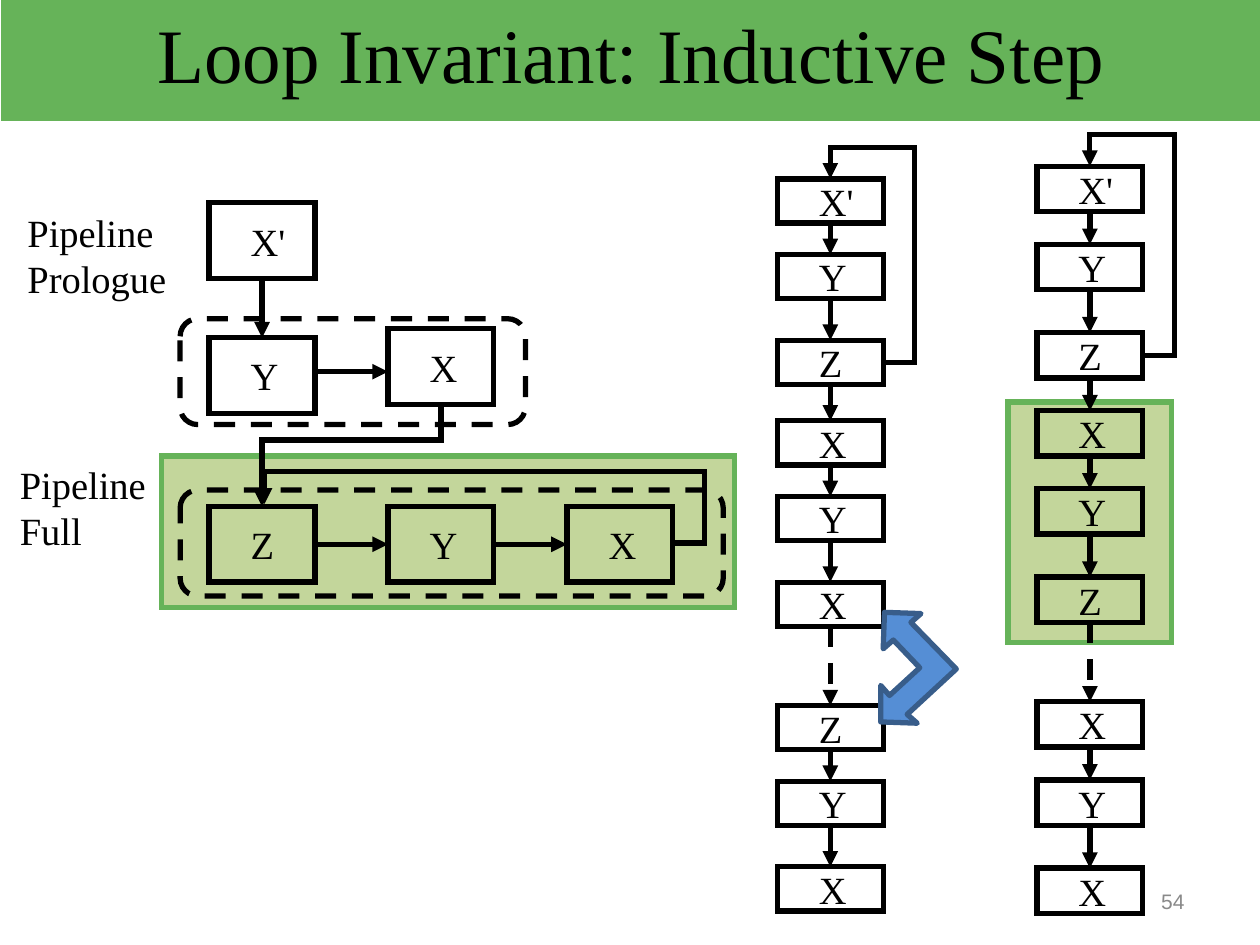
from lxml.etree import SubElement
from pptx import Presentation
from pptx.dml.color import RGBColor
from pptx.enum.dml import MSO_LINE
from pptx.enum.shapes import MSO_CONNECTOR, MSO_SHAPE
from pptx.enum.text import MSO_ANCHOR, PP_ALIGN
from pptx.oxml.ns import qn
from pptx.util import Inches, Pt

BLACK, GREEN, PALE = "000000", "66B359", "C3D69B"
SERIF = "Times New Roman"
BOX_WIDTH = 0.84
STAGE_HEIGHT = 0.6

TITLE = "Loop Invariant: Inductive Step"
LABELS = [
    (["Pipeline", "Prologue"], 0.12, 1.61, 1.36),
    (["Pipeline", "Full"], 0.06, 3.61, 1.2),
]
HIGHLIGHTS = [(8, 3.19, 1.3, 1.91), (1.28, 3.62, 4.55, 1.2)]
DASHED_FRAMES = [(1.43, 3.89, 4.31, 0.84), (1.43, 2.53, 2.74, 0.84)]
STAGES = {
    "first X'": ("X'", 1.66, 1.61),
    "second Y": ("Y", 1.66, 2.68),
    "second X": ("X", 3.08, 2.61),
    "full Z": ("Z", 1.66, 4.02),
    "full Y": ("Y", 3.08, 4.02),
    "full X": ("X", 4.5, 4.02),
}
STAGE_ARROWS = [
    ("first X'", 2, "second Y", 0),
    ("full Z", 3, "full Y", 1),
    ("full Y", 3, "full X", 1),
]
COLUMNS = [
    {"left": 6.17, "height": 0.35, "starts": (1.42, 3.34, 5.6),
     "offsets": (0, 0.6, 1.28), "steps": ("X'YZ", "XYX", "ZYX")},
    {"left": 8.23, "height": 0.36, "starts": (1.32, 3.26, 5.57),
     "offsets": (0, 0.62, 1.32), "steps": ("X'YZ", "XYZ", "XYX")},
]
SWAP_ARROW = [
    (6.99, 5.73), (6.99, 5.44), (7.06, 5.52), (7.3, 5.3), (7.09, 5.08),
    (7.01, 5.15), (7.02, 4.86), (7.31, 4.87), (7.23, 4.94), (7.59, 5.31),
    (7.2, 5.67), (7.28, 5.74),
]

deck = Presentation()
deck.slide_width, deck.slide_height = Inches(10), Inches(7.5)
page = deck.slides.add_slide(deck.slide_layouts[6])


def color(value):
    return RGBColor.from_string(value)


def style_line(item, value=BLACK, dashed=False):
    item.line.color.rgb = color(value)
    item.line.width = Pt(3)
    if dashed:
        item.line.dash_style = MSO_LINE.DASH
    outline = item.line._get_or_add_ln()
    SubElement(outline, qn("a:miter"), lim="800000")
    return outline


def add_box(place, fill=None, line=BLACK, shape=MSO_SHAPE.RECTANGLE, dashed=False):
    box = page.shapes.add_shape(shape, *map(Inches, place))
    box.shadow.inherit = False
    if fill:
        box.fill.solid()
        box.fill.fore_color.rgb = color(fill)
    else:
        box.fill.background()
    if line:
        style_line(box, line, dashed)
    else:
        box.line.fill.background()
    return box


def write(box, lines, size=22, font=SERIF, value=BLACK, align=PP_ALIGN.LEFT,
          anchor=MSO_ANCHOR.MIDDLE, indent=0.1):
    frame = box.text_frame
    frame.word_wrap = False
    frame.vertical_anchor = anchor
    frame.margin_left = Inches(indent)
    for index, line in enumerate(lines):
        para = frame.add_paragraph() if index else frame.paragraphs[0]
        para.alignment = align
        span = para.add_run()
        span.text = line
        span.font.size = Pt(size)
        span.font.name = font
        span.font.color.rgb = color(value)


def add_step(name, left, top, height):
    box = add_box((left, top, BOX_WIDTH, height))
    write(box, [name], indent=0.33)
    return box


def add_arrow(begin, end, kind=MSO_CONNECTOR.STRAIGHT):
    return page.shapes.add_connector(kind, *map(Inches, begin + end))


def finish_arrow(arrow, dashed=False):
    outline = style_line(arrow, dashed=dashed)
    SubElement(outline, qn("a:tailEnd"), type="triangle")
    SubElement(arrow._element.spPr, qn("a:effectLst"))


def join(source, source_side, target, target_side, dashed=False):
    arrow = add_arrow((0, 0), (1, 1))
    arrow.begin_connect(source, source_side)
    arrow.end_connect(target, target_side)
    finish_arrow(arrow, dashed)


def set_bends(arrow, preset, ratios):
    geometry = arrow._element.spPr.find(qn("a:prstGeom"))
    geometry.set("prst", preset)
    guides = geometry.find(qn("a:avLst"))
    for number, ratio in enumerate(ratios, 1):
        SubElement(guides, qn("a:gd"), name=f"adj{number}",
                   fmla=f"val {round(ratio * 100000)}")


def add_loop(begin, end, rise):
    arrow = add_arrow(begin, end, MSO_CONNECTOR.ELBOW)
    width, height = begin[0] - end[0], begin[1] - end[1]
    set_bends(arrow, "bentConnector4", (-0.25 / width, 1 + rise / height))
    finish_arrow(arrow)


def add_drop(begin, end, ratio):
    arrow = add_arrow(begin, end, MSO_CONNECTOR.ELBOW)
    across, down = begin[0] - end[0], end[1] - begin[1]
    frame = arrow._element.spPr.find(qn("a:xfrm"))
    frame.attrib.clear()
    frame.set("rot", "5400000")
    arrow.left = Inches((begin[0] + end[0] - down) / 2)
    arrow.top = Inches((begin[1] + end[1] - across) / 2)
    arrow.width, arrow.height = Inches(down), Inches(across)
    set_bends(arrow, "bentConnector3", (ratio,))
    finish_arrow(arrow)


for place in HIGHLIGHTS:
    add_box(place, PALE, GREEN)
for place in DASHED_FRAMES:
    add_box(place, shape=MSO_SHAPE.ROUNDED_RECTANGLE, dashed=True)

stages = {key: add_step(*stage, STAGE_HEIGHT) for key, stage in STAGES.items()}
for source, source_side, target, target_side in STAGE_ARROWS:
    join(stages[source], source_side, stages[target], target_side)
finish_arrow(add_arrow((2.52, 2.95), (3.08, 2.95)))
add_drop((3.5, 3.21), (2.08, 4.02), 0.35)
add_loop((5.34, 4.31), (2.1, 4), 0.26)

for lines, left, top, width in LABELS:
    label = page.shapes.add_textbox(*map(Inches, (left, top, width, 0.84)))
    write(label, lines, anchor=MSO_ANCHOR.TOP)

for column in COLUMNS:
    left, height = column["left"], column["height"]
    first, last = column["starts"][0], column["starts"][0] + column["offsets"][2]
    add_loop((left + BOX_WIDTH, last + height / 2), (left + BOX_WIDTH / 2, first), 0.25)
    steps = []
    for start, names in zip(column["starts"], column["steps"]):
        letters = [names[:-2], names[-2], names[-1]]
        for name, offset in zip(letters, column["offsets"]):
            steps.append(add_step(name, left, start + offset, height))
    for index, (upper, lower) in enumerate(zip(steps, steps[1:])):
        join(upper, 2, lower, 0, dashed=index == 5)

points = [(Inches(x), Inches(y)) for x, y in SWAP_ARROW]
builder = page.shapes.build_freeform(*points[0])
builder.add_line_segments(points[1:], close=True)
swap = builder.convert_to_shape()
swap.shadow.inherit = False
swap.fill.solid()
swap.fill.fore_color.rgb = color("558ED5")
swap.line.color.rgb = color("385D8A")
swap.line.width = Pt(3)

banner = add_box((0.01, 0, 10, 0.96), GREEN, None)
write(banner, [TITLE], 44, align=PP_ALIGN.CENTER, anchor=MSO_ANCHOR.TOP)
number = page.shapes.add_textbox(*map(Inches, (7.17, 6.95, 2.33, 0.4)))
write(number, ["54"], 12, "Arial", "898989", PP_ALIGN.RIGHT)
number.text_frame.word_wrap = True

deck.save("out.pptx")
